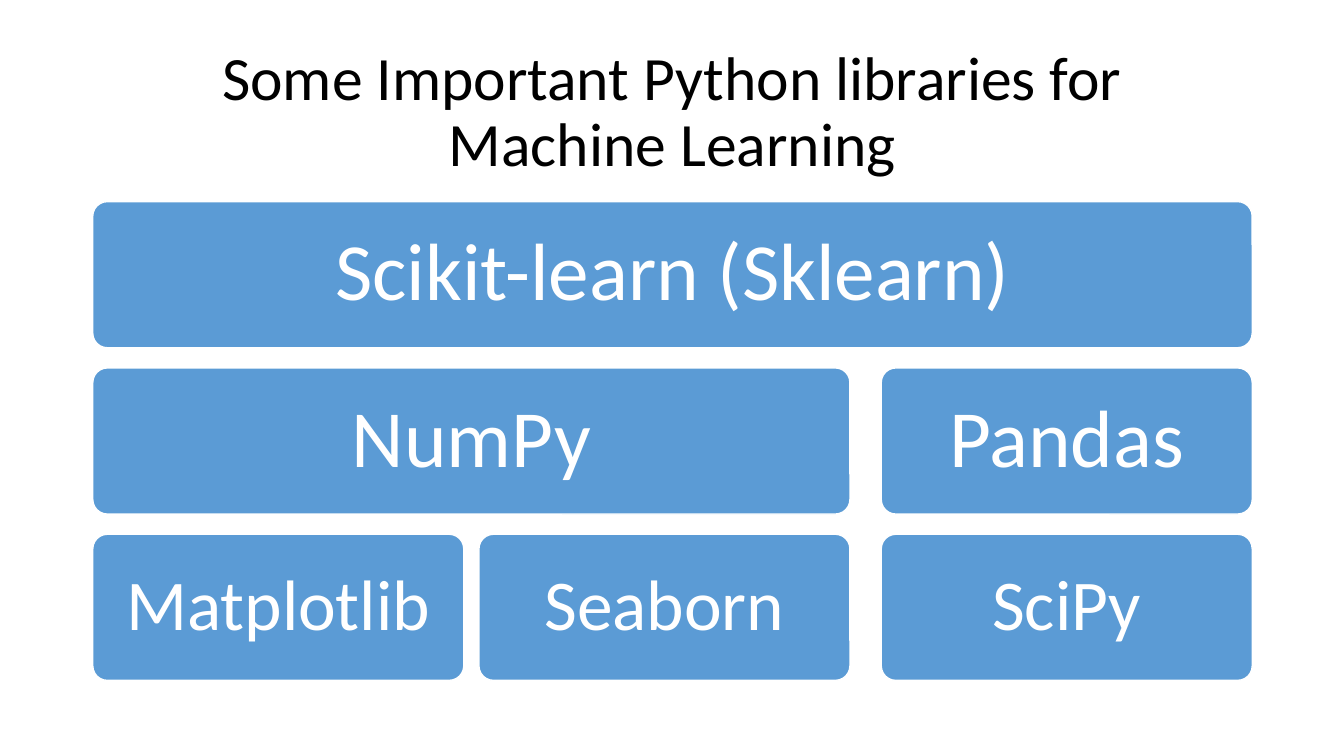
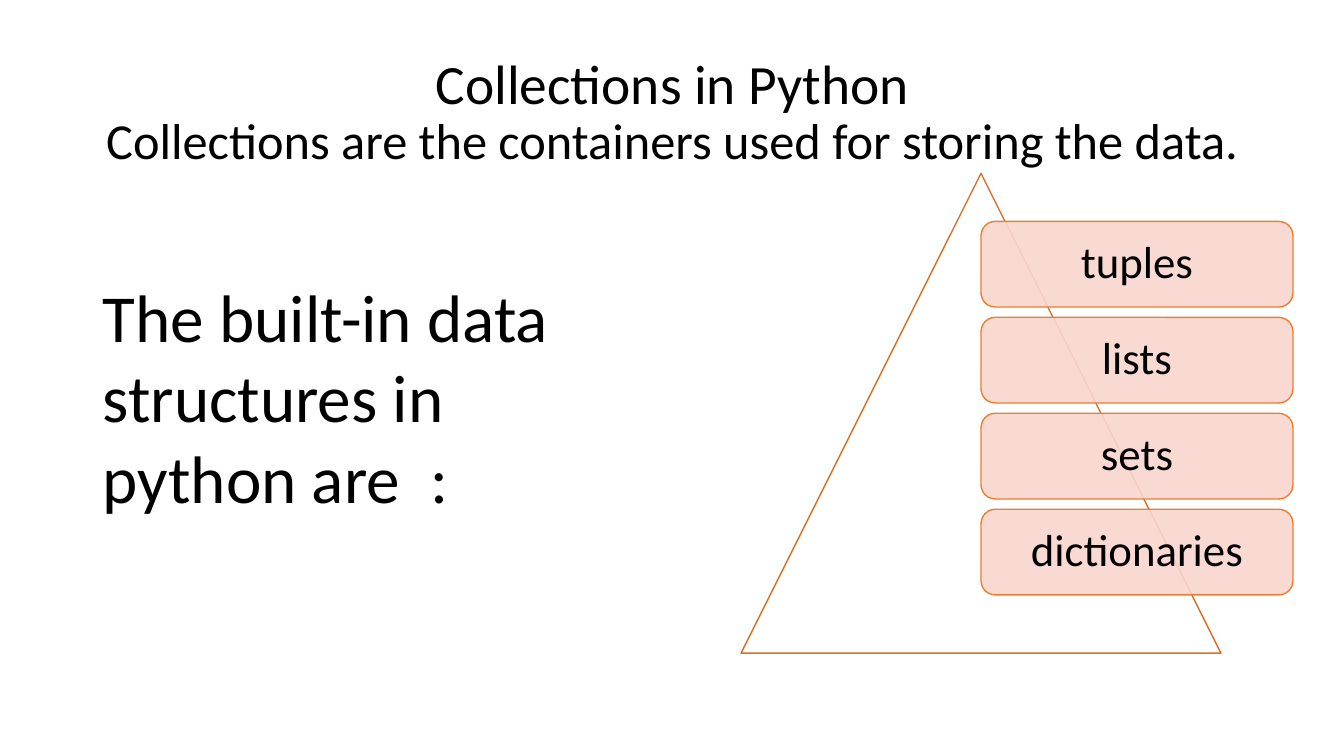
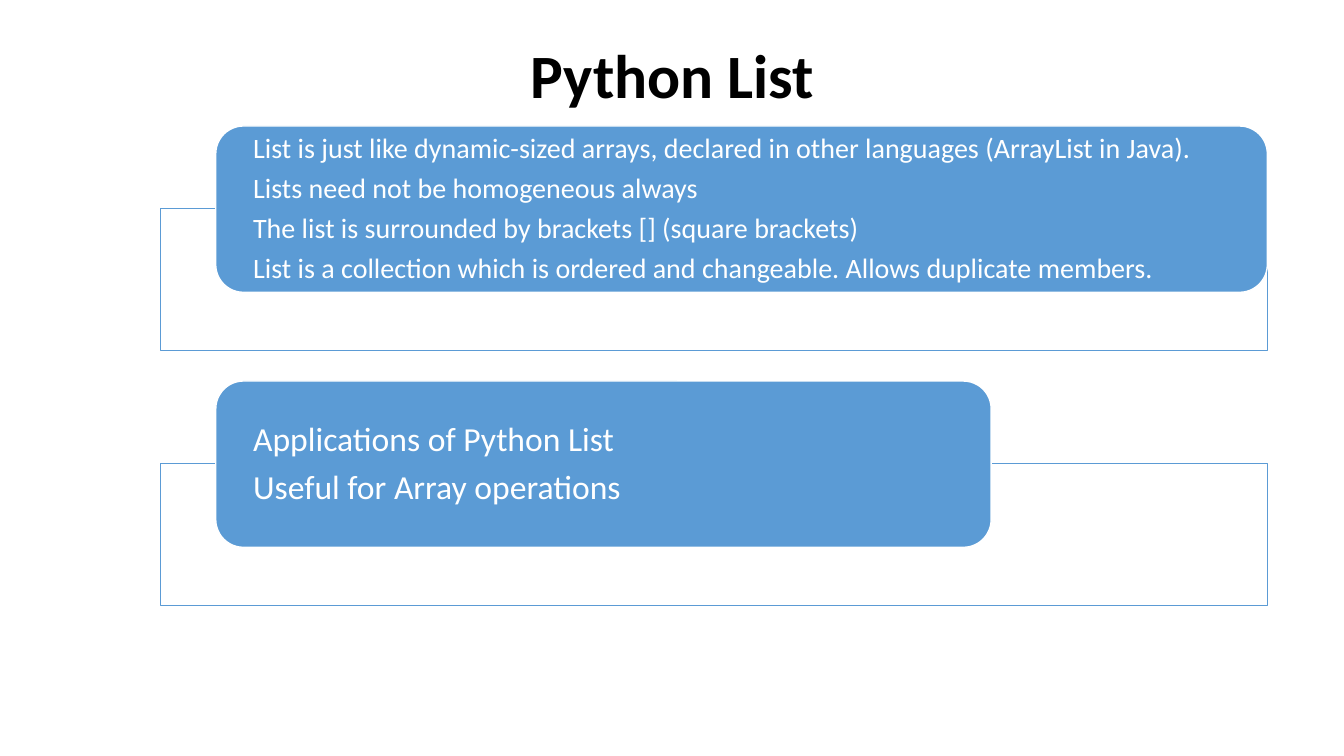
from pptx import Presentation
from pptx.dml.color import RGBColor
from pptx.enum.shapes import MSO_SHAPE
from pptx.enum.text import MSO_ANCHOR, PP_ALIGN
from pptx.oxml.ns import qn
from pptx.util import Inches, Pt
from lxml import etree

RECTANGLE = MSO_SHAPE.RECTANGLE
ROUNDED = MSO_SHAPE.ROUNDED_RECTANGLE
TRIANGLE = MSO_SHAPE.ISOSCELES_TRIANGLE
TOP, MIDDLE = MSO_ANCHOR.TOP, MSO_ANCHOR.MIDDLE
LEFT, CENTER = PP_ALIGN.LEFT, PP_ALIGN.CENTER

BLACK = RGBColor(0x00, 0x00, 0x00)
WHITE = RGBColor(0xFF, 0xFF, 0xFF)
BLUE = RGBColor(0x5B, 0x9B, 0xD5)
ORANGE = RGBColor(0xED, 0x7D, 0x31)
RUST = RGBColor(0xD7, 0x71, 0x2C)
PINK = RGBColor(0xF8, 0xD7, 0xCE)

FONT = "Calibri"
MARGIN, CONTENT_WIDTH = 0.92, 11.5
TIGHT = 0.9  # line spacing


def add_block(page, kind, left, top, width, height, fill, line):
    box = page.shapes.add_shape(
        kind, Inches(left), Inches(top), Inches(width), Inches(height))
    box.shadow.inherit = False
    box.fill.solid()
    box.fill.fore_color.rgb = fill
    box.line.color.rgb = line
    box.line.width = Pt(1)
    return box


def write(box, paragraphs, color, align, anchor=MIDDLE, side=0.1, spacing=TIGHT):
    """Fill a box; each paragraph is a list of (text, size, bold) lines."""
    frame = box.text_frame
    frame.word_wrap = True
    frame.vertical_anchor = anchor
    frame.margin_left = frame.margin_right = Inches(side)
    for index, lines in enumerate(paragraphs):
        para = frame.add_paragraph() if index else frame.paragraphs[0]
        para.alignment = align
        para.line_spacing = spacing
        if index < len(paragraphs) - 1:
            para.space_after = Pt(0.35 * lines[0][1])
        for number, (text, size, bold) in enumerate(lines):
            if number:
                para.add_line_break()
            span = para.add_run()
            span.text = text
            span.font.name = FONT
            span.font.size = Pt(size)
            span.font.bold = bold
            span.font.color.rgb = color


deck = Presentation()
deck.slide_width, deck.slide_height = Inches(13.33), Inches(7.5)

# Pages with their titles
titles = [
    ([("Some Important Python libraries for", 44, False),
      ("Machine Learning", 44, False)], MIDDLE),
    ([("Collections in Python", 39.6, False),
      ("Collections are the containers used for storing the data.", 36, False)],
     MIDDLE),
    ([("Python List", 44, True)], TOP),
]
pages = []
for lines, anchor in titles:
    page = deck.slides.add_slide(deck.slide_layouts[6])
    title = page.shapes.add_textbox(
        Inches(MARGIN), Inches(0.4), Inches(CONTENT_WIDTH), Inches(1.45))
    write(title, [lines], BLACK, CENTER, anchor)
    pages.append(page)
libraries_page, collections_page, list_page = pages

# Libraries: three rows of blocks on three columns
column_lefts = (MARGIN, 4.75, 8.74)
column_width = 3.68
row_top, row_height, row_pitch = 2, 1.45, 1.65
# name, row, first column, last column, text size
libraries = [
    ("Scikit-learn (Sklearn)", 0, 0, 2, 58),
    ("NumPy", 1, 0, 1, 58),
    ("Matplotlib", 2, 0, 0, 51),
    ("Seaborn", 2, 1, 1, 51),
    ("Pandas", 1, 2, 2, 58),
    ("SciPy", 2, 2, 2, 51),
]
for name, row, first, last, size in libraries:
    width = column_lefts[last] + column_width - column_lefts[first]
    block = add_block(libraries_page, ROUNDED, column_lefts[first],
                      row_top + row * row_pitch, width, row_height, BLUE, WHITE)
    block.adjustments[0] = 0.1
    write(block, [[(name, size, False)]], WHITE, CENTER)

# Collections: a triangle with labels starting at its axis
tri_left, tri_top, tri_side = 7.35, 1.72, 4.76
add_block(collections_page, TRIANGLE, tri_left, tri_top, tri_side, tri_side,
          WHITE, RUST)
for index, name in enumerate(("tuples", "lists", "sets", "dictionaries")):
    label = add_block(collections_page, ROUNDED, tri_left + tri_side / 2,
                      tri_top + tri_side * (0.1 + 0.2 * index),
                      tri_side * 0.65, 0.85, PINK, ORANGE)
    # Let the triangle's edge show through
    tint = label.fill._xPr.find(qn("a:solidFill"))[0]
    etree.SubElement(tint, qn("a:alpha"), val="90000")
    write(label, [[(name, 32, False)]], BLACK, CENTER)

intro = collections_page.shapes.add_textbox(
    Inches(MARGIN), Inches(2.68), Inches(5.66), Inches(2.52))
write(intro, [[("The built-in data structures in python are  :", 48, False)]],
      BLACK, LEFT, TOP, spacing=1.0)
intro.text_frame.margin_right = Inches(0.4)

# Python list: two outlined frames, each with a block over its top edge
frame_left, frame_width, frame_height = 1.59, 10.98, 1.41
block_left, block_height, block_rise = 2.14, 1.65, 0.82
# frame top, block width, text size, lines
sections = [
    (2.07, 10.43, 20, (
        "List is just like dynamic-sized arrays, declared in other languages "
        "(ArrayList in Java).",
        "Lists need not be homogeneous always",
        "The list is surrounded by brackets [] (square brackets)",
        "List is a collection which is ordered and changeable. "
        "Allows duplicate members.")),
    (4.6, 7.69, 24, (
        "Applications of Python List",
        "Useful for Array operations")),
]
for top, width, size, lines in sections:
    add_block(list_page, RECTANGLE, frame_left, top, frame_width, frame_height,
              WHITE, BLUE)
    block = add_block(list_page, ROUNDED, block_left, top - block_rise, width,
                      block_height, BLUE, WHITE)
    write(block, [[(text, size, False)] for text in lines], WHITE, LEFT, side=0.29)
    block.text_frame.margin_top = block.text_frame.margin_bottom = 0

deck.save("out.pptx")
